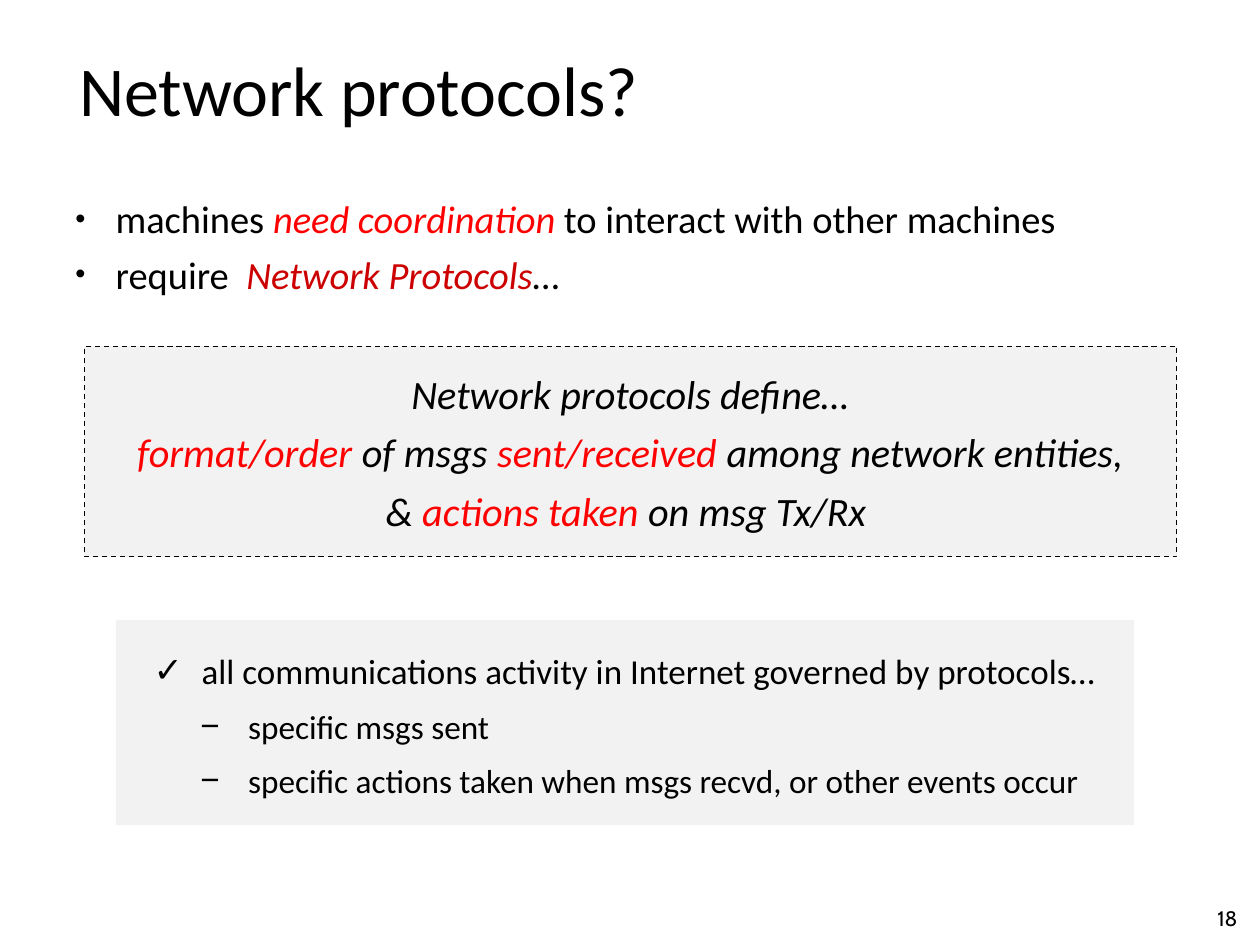
from lxml import etree
from pptx import Presentation
from pptx.dml.color import RGBColor
from pptx.enum import dml, shapes, text
from pptx.oxml.ns import qn
from pptx.util import Inches, Pt

COLORS = {"ink": "000000", "red": "FF0000", "dark": "CC0000", "pale": "F2F2F2"}

# A paragraph is a list of (words, colour) runs.
TITLE = [[("Network protocols?", "ink")]]
NEEDS = [
    [("machines ", "ink"), ("need coordination ", "red"),
     ("to interact with other machines", "ink")],
    [("require  ", "ink"), ("Network Protocols", "dark"), ("…", "ink")],
]
DEFINE = [
    [("Network protocols define…", "ink")],
    [("format/order", "red"), (" of msgs ", "ink"), ("sent/received ", "red"),
     ("among network entities,", "ink")],
    [("& ", "ink"), ("actions taken ", "red"), ("on msg Tx/Rx ", "ink")],
]
RULES = [
    [("all communications activity in Internet governed by protocols…", "ink")],
    [("specific msgs sent", "ink")],
    [("specific actions taken when msgs recvd, or other events occur", "ink")],
]
NUMBER = [[("18", "ink")]]


def rgb(name):
    return RGBColor.from_string(COLORS[name])


def bullet(para, char, left, hang, scale=100):
    props = para._p.get_or_add_pPr()
    props.set("marL", str(Inches(left)))
    props.set("indent", str(-Inches(hang)))
    color = etree.SubElement(props, qn("a:buClr"))
    etree.SubElement(color, qn("a:srgbClr"), val=COLORS["ink"])
    etree.SubElement(props, qn("a:buSzPct"), val=str(scale * 1000))
    etree.SubElement(props, qn("a:buFont"), typeface="Arial")
    etree.SubElement(props, qn("a:buChar"), char=char)


def write(shape, paras, size, font="Calibri", align=text.PP_ALIGN.LEFT,
          anchor=text.MSO_ANCHOR.MIDDLE, gap=0):
    """Fill the shape with text and return its paragraphs."""
    frame = shape.text_frame
    frame.word_wrap = True
    frame.vertical_anchor = anchor
    for i, runs in enumerate(paras):
        para = frame.add_paragraph() if i else frame.paragraphs[0]
        para.alignment = align
        if i and gap:
            para.space_before = Pt(gap)
        for words, color in runs:
            run = para.add_run()
            run.text = words
            run.font.color.rgb = rgb(color)
            if color == "dark" or color == "red":
                run.font.italic = True
        para.font.size = Pt(size)
        para.font.name = font
    return frame.paragraphs


def label(slide, *place):
    return slide.shapes.add_textbox(*map(Inches, place))


def panel(slide, *place):
    box = slide.shapes.add_shape(shapes.MSO_SHAPE.RECTANGLE, *map(Inches, place))
    box.shadow.inherit = False
    box.fill.solid()
    box.fill.fore_color.rgb = rgb("pale")
    box.line.fill.background()
    return box


def main():
    deck = Presentation()
    deck.slide_width, deck.slide_height = Inches(10), Inches(7.5)
    slide = deck.slides.add_slide(deck.slide_layouts[6])

    write(label(slide, 0.53, 0.23, 6.19, 0.95), TITLE, 40)

    needs = label(slide, 0.5, 1.5, 9, 1.17)
    for para in write(needs, NEEDS, 22, anchor=text.MSO_ANCHOR.TOP, gap=5.5):
        bullet(para, "•", 0.32, 0.32, 75)

    define = panel(slide, 0.67, 2.75, 8.67, 1.67)
    define.line.color.rgb = rgb("ink")
    define.line.width = Pt(0.75)
    define.line.dash_style = dml.MSO_LINE.DASH
    for para in write(define, DEFINE, 23, align=text.PP_ALIGN.CENTER, gap=6):
        para.font.italic = True

    write(label(slide, 9.42, 7.08, 0.5, 0.42), NUMBER, 12, "Cabin",
          text.PP_ALIGN.RIGHT)

    rules = panel(slide, 0.92, 4.92, 8.08, 1.63)
    rules.text_frame.margin_left = Inches(0.3)
    for i, para in enumerate(write(rules, RULES, 20, gap=6)):
        para.line_spacing = 1.1
        para.level = min(i, 1)
        para.font.size = Pt(19 if i else 20)
        bullet(para, "−" if i else "✓", 0.75 if i else 0.38, 0.38)

    deck.save("out.pptx")


if __name__ == "__main__":
    main()
